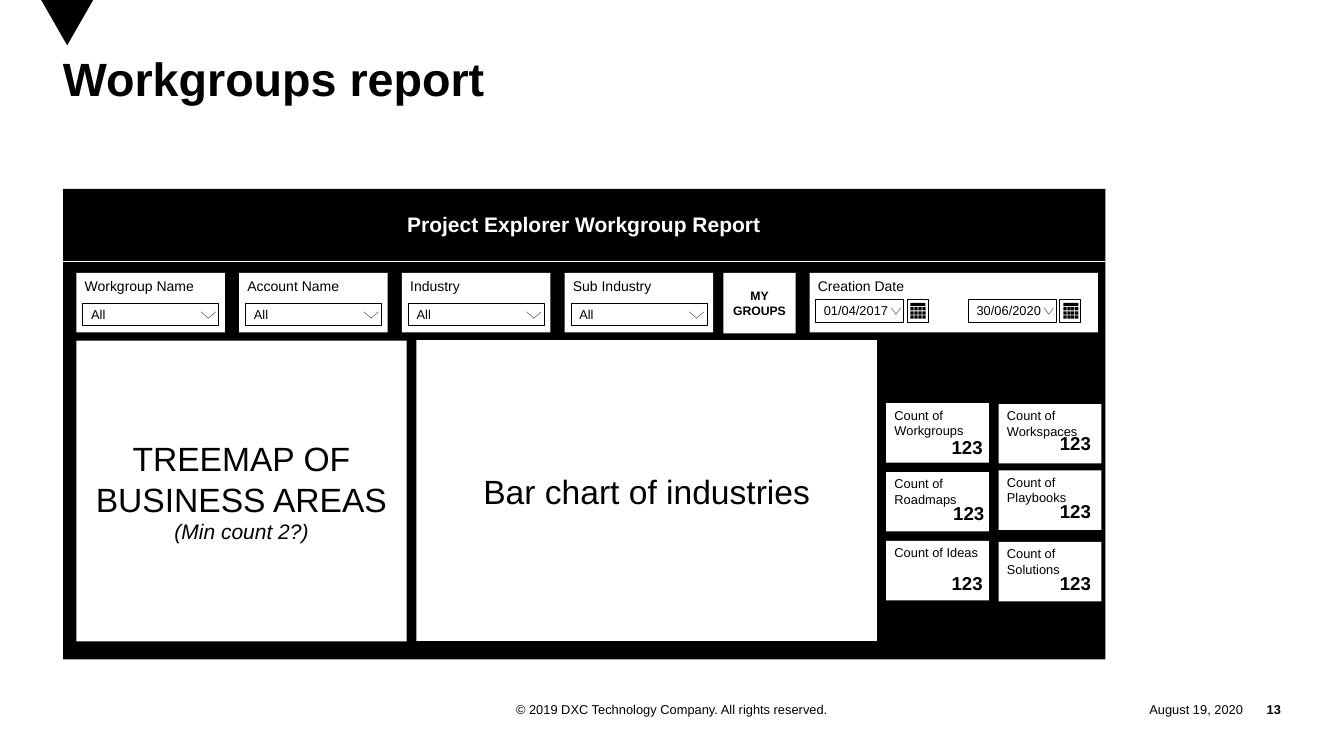
from pptx import Presentation
from pptx.dml.color import RGBColor
from pptx.enum.shapes import MSO_CONNECTOR, MSO_SHAPE
from pptx.enum.text import MSO_ANCHOR, PP_ALIGN
from pptx.oxml.ns import qn
from pptx.util import Pt
from lxml import etree

BLACK, WHITE, GREY = "000000", "FFFFFF", "666666"
TOP, MIDDLE = MSO_ANCHOR.TOP, MSO_ANCHOR.MIDDLE
LEFT, CENTER, RIGHT = PP_ALIGN.LEFT, PP_ALIGN.CENTER, PP_ALIGN.RIGHT

FILTERS = ["Workgroup Name", "Account Name", "Industry", "Sub Industry"]
DATES = [("01/04/2017", 699), ("30/06/2020", 830)]
# Label, card left and top, number left and top
COUNTS = [
    ("Count of Workgroups", 759.6, 345.6, 808.6, 370),
    ("Count of Workspaces", 856, 346.3, 901.4, 366.5),
    ("Count of Roadmaps", 759.6, 404.6, 810, 427),
    ("Count of Playbooks", 856, 403.2, 901.4, 424.8),
    ("Count of Ideas", 759.6, 463.7, 808.6, 486.7),
    ("Count of Solutions", 856, 464.4, 901.4, 486.7),
]


def rgb(value):
    return RGBColor.from_string(value)


def write(sp, lines, align=LEFT, anchor=TOP, color=BLACK, inset=None):
    """Fill a shape with paragraphs given as (text, font values)."""
    tf = sp.text_frame
    frame = {"word_wrap": True, "vertical_anchor": anchor}
    if inset is not None:
        for side in ("left", "top", "right", "bottom"):
            frame[f"margin_{side}"] = Pt(inset)
    for name, value in frame.items():
        setattr(tf, name, value)
    for i, (text, values) in enumerate(lines):
        p = tf.add_paragraph() if i else tf.paragraphs[0]
        p.alignment = align
        r = p.add_run()
        r.text = text
        r.font.color.rgb = rgb(color)
        for name, value in {"name": "Arial", **values}.items():
            setattr(r.font, name, value)
    return tf


def add_text(s, x, y, w, h, text, size, bold=False, **layout):
    sp = s.shapes.add_textbox(Pt(x), Pt(y), Pt(w), Pt(h))
    return write(sp, [(text, {"size": Pt(size), "bold": bold})], **layout)


def add_box(s, x, y, w, h, fill=WHITE, line=None, lines=(), **layout):
    sp = s.shapes.add_shape(MSO_SHAPE.RECTANGLE, Pt(x), Pt(y), Pt(w), Pt(h))
    sp.shadow.inherit = False
    sp.fill.solid()
    sp.fill.fore_color.rgb = rgb(fill)
    if line:
        sp.line.color.rgb = rgb(line)
        sp.line.width = Pt(0.75)
    else:
        sp.line.fill.background()
    if lines:
        write(sp, lines, **layout)


def add_line(s, x1, y1, x2, y2, color):
    c = s.shapes.add_connector(MSO_CONNECTOR.STRAIGHT, Pt(x1), Pt(y1), Pt(x2), Pt(y2))
    c.line.color.rgb = rgb(color)
    c.line.width = Pt(0.5)
    etree.SubElement(c._element.spPr, qn("a:effectLst"))


def add_dropdown(s, x, y, w, text, arm):
    """Outlined field with a chevron whose two arms are each arm wide."""
    add_box(s, x, y, w, 19.4, line=BLACK, lines=[(text, {"size": Pt(11)})], anchor=MIDDLE)
    tip = x + w - 2.6 - arm
    for end in (tip - arm, tip + arm):
        add_line(s, end, y + 7.2, tip, y + 12.7, GREY)


def add_calendar(s, x, y):
    add_box(s, x, y, 18, 20, line=BLACK)
    add_box(s, x + 2.9, y + 2.9, 12.9, 2.9, fill=BLACK)
    for row in range(3):
        for col in range(4):
            add_box(s, x + 2.9 + col * 3.4, y + 6.5 + row * 3.6, 2.8, 2.8, fill=BLACK)


def add_marker(s):
    fb = s.shapes.build_freeform(Pt(35.3), Pt(0))
    fb.add_line_segments([(Pt(57.6), Pt(38.9)), (Pt(79.9), Pt(0))])
    sp = fb.convert_to_shape()
    sp.shadow.inherit = False
    sp.fill.solid()
    sp.fill.fore_color.rgb = rgb(BLACK)
    sp.line.fill.background()


def main():
    prs = Presentation()
    prs.slide_width, prs.slide_height = Pt(1152), Pt(648)
    s = prs.slides.add_slide(prs.slide_layouts[6])

    # Title and footer
    add_marker(s)
    tf = add_text(s, 54, 50.4, 882.7, 111.6, "Workgroups report", 40, True, inset=0)
    tf.paragraphs[0].line_spacing = 0.85
    footer = {"anchor": MIDDLE, "inset": 0}
    add_text(s, 378, 597, 396, 21.6, "© 2019 DXC Technology Company. All rights reserved.",
             11, align=CENTER, **footer)
    add_text(s, 936.7, 597, 128.9, 21.6, "August 19, 2020", 11, align=RIGHT, **footer)
    add_text(s, 1065.6, 597, 32.4, 21.6, "13", 11, True, align=RIGHT, **footer)

    # Dashboard frame and heading
    add_box(s, 54, 162, 893.5, 403.2, fill=BLACK)
    add_line(s, 54, 224, 947.5, 224, WHITE)
    add_text(s, 335.4, 177.8, 330, 28.8, "Project Explorer Workgroup Report", 18, True,
             align=CENTER, color=WHITE)

    # Filters
    for i, label in enumerate(FILTERS):
        x = 65.5 + i * 139.5
        add_box(s, x, 234, 127.4, 51, lines=[(label, {"size": Pt(12)})])
        add_dropdown(s, x + 5.5, 260, 116.6, "All", 6.4)
    add_box(s, 620, 234, 62, 51.8, lines=[("MY GROUPS", {"size": Pt(10.5), "bold": True})],
            align=CENTER, anchor=MIDDLE)

    # Creation date range
    add_box(s, 694, 234, 247, 51, lines=[("Creation Date", {"size": Pt(12)})])
    for date, x in DATES:
        add_dropdown(s, x, 256.7, 75.6, date, 4)
        add_calendar(s, x + 78.5, 256.7)

    # Chart areas
    big = {"size": Pt(28.8)}
    middle = {"align": CENTER, "anchor": MIDDLE}
    add_box(s, 65.5, 292, 283, 257.8, **middle,
            lines=[("TREEMAP OF BUSINESS AREAS", big),
                   ("(Min count 2?)", {"size": Pt(18), "italic": True})])
    add_box(s, 357, 291.6, 394.6, 257.8, lines=[("Bar chart of industries", big)], **middle)

    # Count cards
    for label, x, y, num_x, num_y in COUNTS:
        add_box(s, x, y, 88, 51, lines=[(label, {"size": Pt(11)})])
        add_text(s, num_x, num_y, 42, 26.6, "123", 16, True)

    prs.save("out.pptx")


if __name__ == "__main__":
    main()
